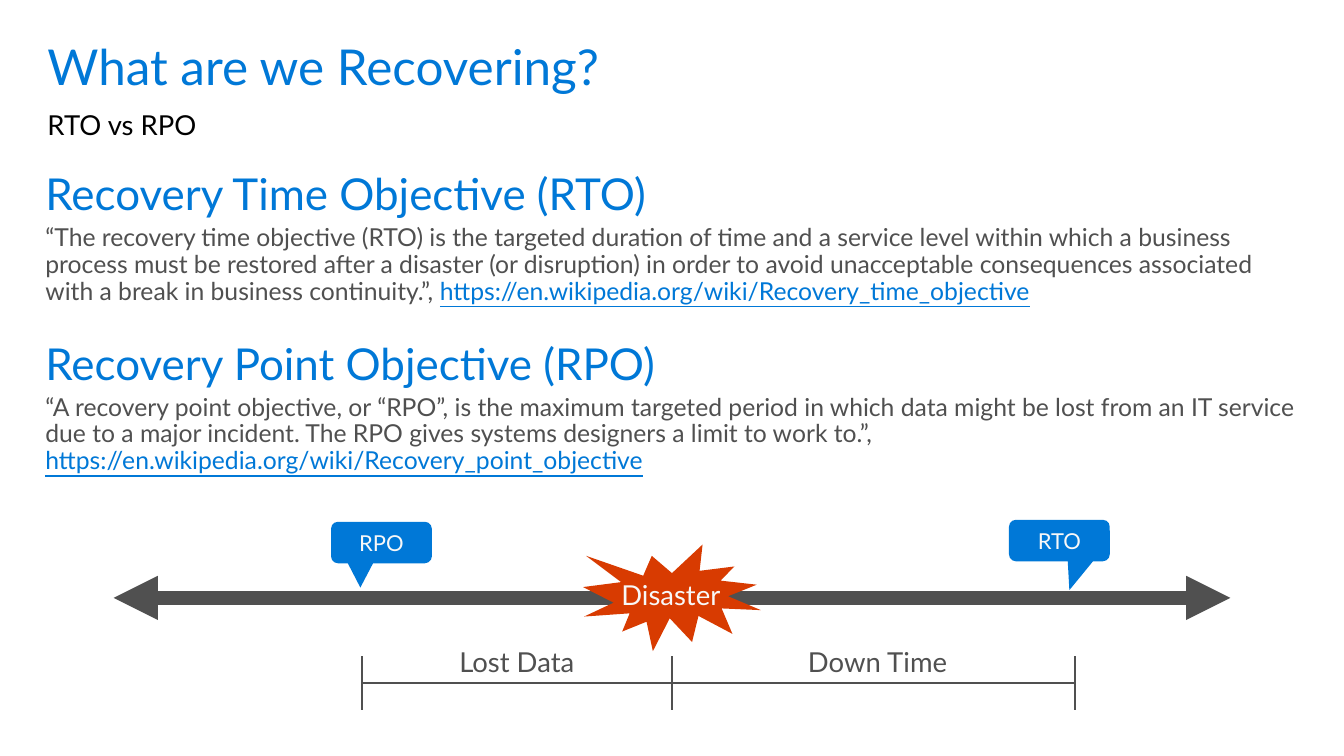
"""Build the slide that sets recovery time against recovery point."""
from lxml import etree
from pptx import Presentation
from pptx.dml.color import RGBColor
from pptx.enum.shapes import MSO_CONNECTOR, MSO_SHAPE
from pptx.enum.text import MSO_ANCHOR, PP_ALIGN
from pptx.oxml.ns import qn
from pptx.util import Inches, Pt

LINE = MSO_CONNECTOR.STRAIGHT
BURST = MSO_SHAPE.EXPLOSION1
BUBBLE = MSO_SHAPE.ROUNDED_RECTANGULAR_CALLOUT
TOP, MIDDLE = MSO_ANCHOR.TOP, MSO_ANCHOR.MIDDLE
LEFT, CENTER = PP_ALIGN.LEFT, PP_ALIGN.CENTER
HUES = {"blue": "0078D7", "gray": "505050", "red": "D83B01",
        "pale": "F8F8F8", "black": "000000"}
COLS, ROWS = 136, 76.5

deck = Presentation()
deck.slide_width, deck.slide_height = Inches(13.6), Inches(7.65)
cell = deck.slide_width / COLS
slide = deck.slides.add_slide(deck.slide_layouts[6])
shapes = slide.shapes


def grid(*spots):
    return [round(spot * cell) for spot in spots]


def write(shape, pad, paras, anchor=TOP, wrap=True):
    frame = shape.text_frame
    side, top = grid(*pad)
    look = {"margin_left": side, "margin_right": side, "margin_top": top,
            "margin_bottom": top, "vertical_anchor": anchor, "word_wrap": wrap}
    for key, value in look.items():
        setattr(frame, key, value)
    for num, (form, runs) in enumerate(paras):
        para = frame.add_paragraph() if num else frame.paragraphs[0]
        for key, value in form.items():
            setattr(para, key, value)
        for text, size, hue, under in runs:
            run = para.add_run()
            run.text = text
            style = {"name": "Lato", "size": Pt(size), "underline": under}
            for key, value in style.items():
                setattr(run.font, key, value)
            run.font.color.rgb = RGBColor.from_string(HUES[hue])


terms = [
    ("Recovery Time Objective (RTO)",
     "“The recovery time objective (RTO) is the targeted duration of time and "
     "a service level within which a business process must be restored after "
     "a disaster (or disruption) in order to avoid unacceptable consequences "
     "associated with a break in business continuity.”, ",
     "https://en.wikipedia.org/wiki/Recovery_time_objective"),
    ("Recovery Point Objective (RPO)",
     "“A recovery point objective, or “RPO”, is the maximum targeted period in "
     "which data might be lost from an IT service due to a major incident. "
     "The RPO gives systems designers a limit to work to.”, ",
     "https://en.wikipedia.org/wiki/Recovery_point_objective"),
]
body = []
for num, (term, quote, link) in enumerate(terms):
    body += [
        ({"line_spacing": 0.9, "space_before": Pt(27 * num)},
         [(term, 32, "blue", False)]),
        ({"line_spacing": 0.9, "space_before": Pt(3.6)},
         [(quote, 18, "gray", False), (link, 18, "blue", True)]),
    ]

tight = {"alignment": LEFT, "line_spacing": 0.9}
label = {"alignment": CENTER, "line_spacing": 0.9}
texts = [
    ((3, 16.5, 130, 34.1), (1.6, 1), body),
    ((4.8, 2.5, 126.5, 8.5), (0, 1.8),
     [(tight, [("What are we Recovering?", 36, "blue", False)])]),
    ((4.8, 10.9, 126.5, 3.4), (0, 0),
     [({"alignment": LEFT}, [("RTO vs RPO", 20, "black", False)])]),
    ((36.6, 64.1, 31.4, 6.8), (2, 1.6),
     [(label, [("Lost Data", 20, "gray", False)])]),
    ((69.2, 64.1, 39.2, 6.8), (2, 1.6),
     [(label, [("Down Time", 20, "gray", False)])]),
]
for spot, pad, paras in texts:
    write(shapes.add_textbox(*grid(*spot)), pad, paras)

marks = [36.6, 68, 108.8]
axis = (11.5, 60.5, 124.5, 60.5)
ticks = [(mark, 66.4, mark, 71.8) for mark in marks]
spans = [(start, 69.1, end, 69.1) for start, end in zip(marks, marks[1:])]
for ends in [axis] + ticks + spans:
    line = shapes.add_connector(LINE, *grid(*ends))
    line.line.color.rgb = RGBColor.from_string(HUES["gray"])
    line.line.width = Pt(10.75 if ends == axis else 1.5)
    props = line._element.spPr
    if ends == axis:
        for tip in ("a:headEnd", "a:tailEnd"):
            etree.SubElement(props.find(qn("a:ln")), qn(tip), type="triangle")
    etree.SubElement(props, qn("a:effectLst"))

signs = [
    (BURST, (59, 55.1, 18, 10.8), "red", "Disaster", 20, ()),
    (BUBBLE, (33.5, 52.8, 10.2, 4.2), "blue", "RPO", 16, (-0.209, 1.085, 0.167)),
    (BUBBLE, (102.1, 52.6, 10.2, 4.2), "blue", "RTO", 16, (0.099, 1.195, 0.167)),
]
for kind, spot, hue, word, size, bends in signs:
    sign = shapes.add_shape(kind, *grid(*spot))
    sign.shadow.inherit = False
    sign.fill.solid()
    sign.fill.fore_color.rgb = RGBColor.from_string(HUES[hue])
    sign.line.fill.background()
    for num, bend in enumerate(bends):
        sign.adjustments[num] = bend
    write(sign, (0, 0.5), [({"alignment": CENTER}, [(word, size, "pale", False)])],
          MIDDLE, False)

deck.save("out.pptx")
